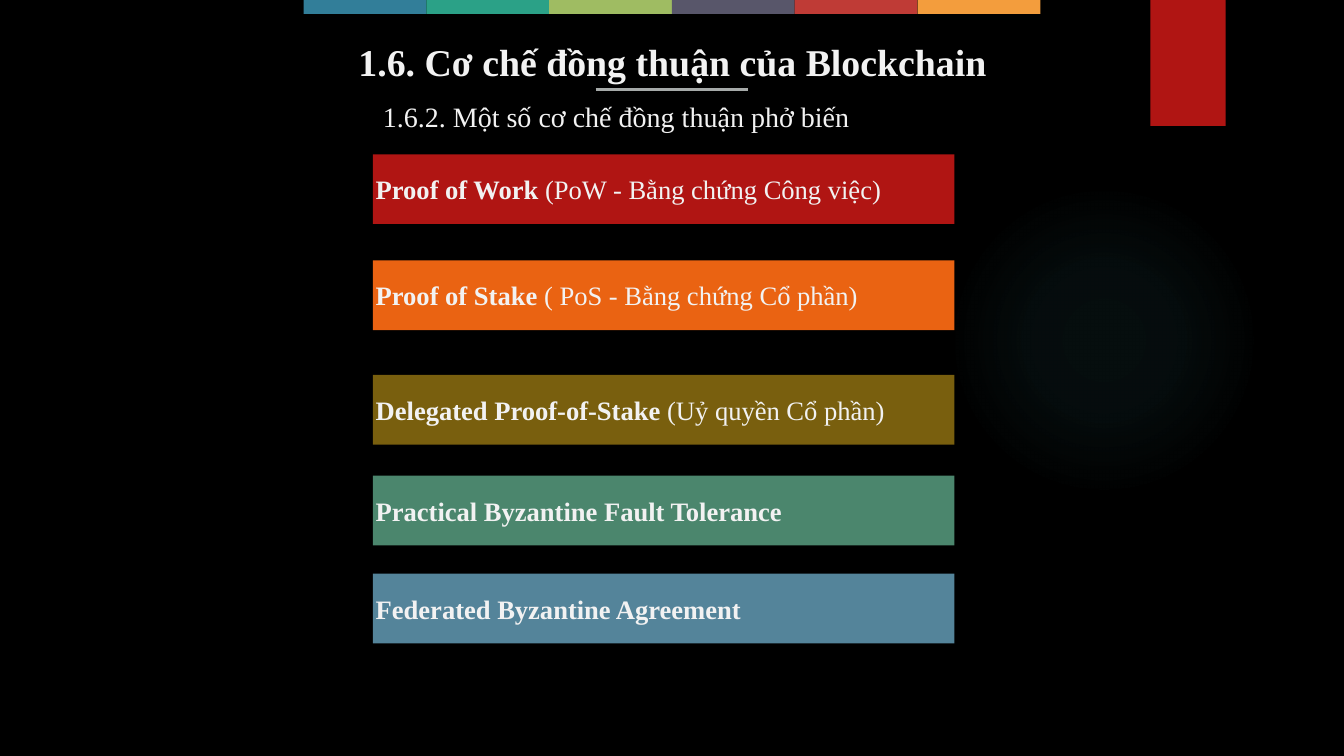
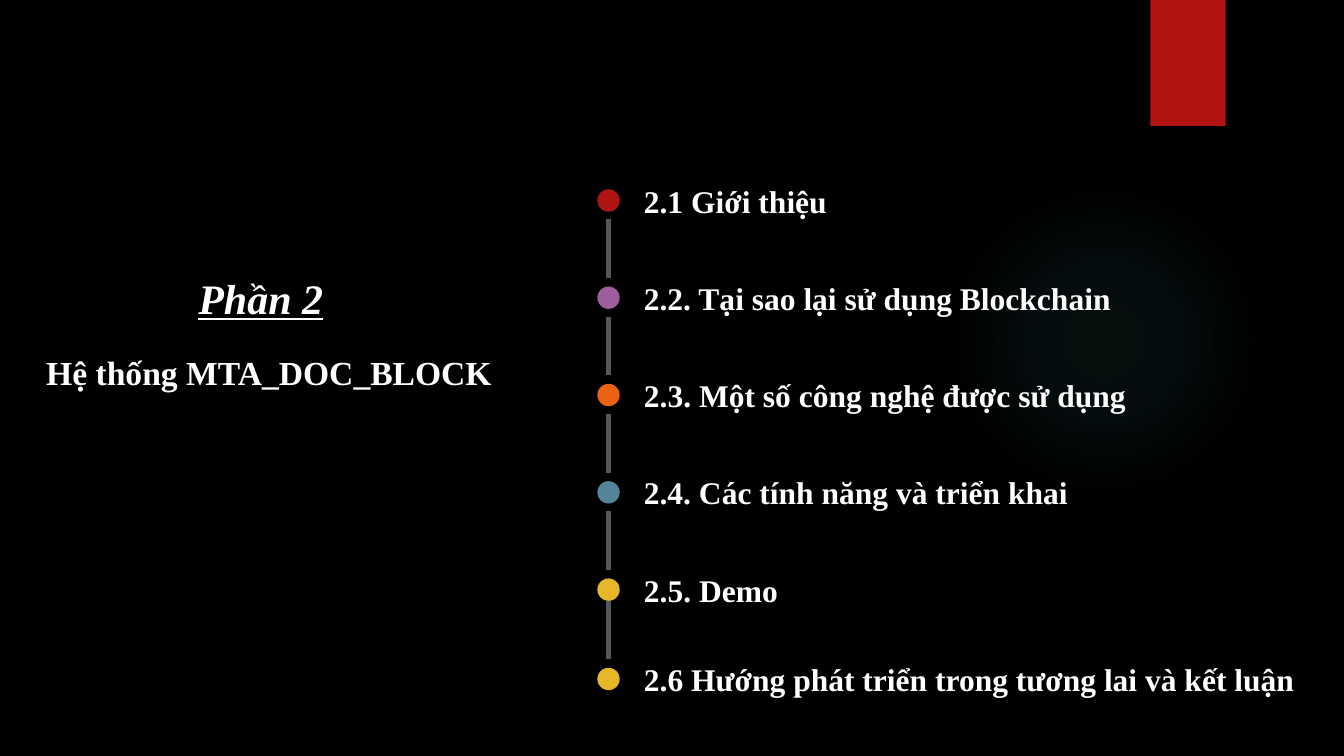
"""Build two dark slides: consensus mechanisms and the outline of part two."""
from pptx import Presentation, oxml
from pptx.dml.color import RGBColor
from pptx.enum import shapes, text
from pptx.oxml import ns
from pptx.util import Pt

FONT = "Times New Roman"
RED, ORANGE, BLUE, GOLD = "B01513", "EA6312", "54849A", "E6B729"
PALE, WHITE = "F2F2F2", "FFFFFF"
RECT, OVAL = shapes.MSO_SHAPE.RECTANGLE, shapes.MSO_SHAPE.OVAL
LEFT, CENTER = text.PP_ALIGN.LEFT, text.PP_ALIGN.CENTER
TOP, MIDDLE = text.MSO_ANCHOR.TOP, text.MSO_ANCHOR.MIDDLE


def paint(target, color):
    """Give a fill or line one solid colour."""
    target.solid()
    target.fore_color.rgb = RGBColor.from_string(color)


def write(box, words, size, color, bold=True, extra="", pad=None,
          anchor=TOP, align=LEFT, wrap=True):
    """Fill a box with a main run and an optional plain one."""
    frame = box.text_frame
    frame.text = words
    frame.word_wrap = wrap
    frame.auto_size = text.MSO_AUTO_SIZE.NONE
    frame.vertical_anchor = anchor
    if pad is not None:
        frame.margin_left = frame.margin_right = Pt(pad)
        frame.margin_top = frame.margin_bottom = Pt(pad)
    par = frame.paragraphs[0]
    par.alignment = align
    if extra:
        par.add_run().text = extra
    for run in par.runs:
        run.font.name = FONT
        run.font.size = Pt(size)
        run.font.bold = bold and run.text != extra
        paint(run.font.fill, color)


deck = Presentation()
deck.slide_width, deck.slide_height = Pt(960), Pt(540)
paint(deck.slide_master.background.fill, "000000")
first, second = [deck.slides.add_slide(deck.slide_layouts[5]) for _ in range(2)]

stops = "".join(
    f'<a:gs pos="{pos}000"><a:srgbClr val="50B9C1">'
    f'<a:alpha val="{alpha}000"/></a:srgbClr></a:gs>'
    for pos, alpha in ((0, 7), (36, 6), (69, 0)))
glow = (f'<a:gradFill {ns.nsdecls("a")}><a:gsLst>{stops}</a:gsLst>'
        '<a:path path="circle"><a:fillToRect l="50000" t="50000" '
        'r="50000" b="50000"/></a:path></a:gradFill>')

blocks = [(page, OVAL, 677.5, 131.8, 221.8, 221.8, None) for page in (first, second)]
blocks += [(page, RECT, 821.8, 0, 53.8, 90, RED) for page in (first, second)]
tabs = ["327E99", "2BA187", "9FBC62", "58566A", "BF3B36", "F39D3D"]
blocks += [(first, RECT, 216.9 + 87.7 * i, 0, 87.7, 10, color)
           for i, color in enumerate(tabs)]

bars = [
    (110.2, RED, "Proof of Work", " (PoW - Bằng chứng Công việc)"),
    (186, ORANGE, "Proof of Stake", " ( PoS - Bằng chứng Cổ phần)"),
    (267.8, "795F0E", "Delegated Proof-of-Stake", " (Uỷ quyền Cổ phần)"),
    (339.7, "4B866D", "Practical Byzantine Fault Tolerance", ""),
    (409.7, BLUE, "Federated Byzantine Agreement", ""),
]
blocks += [(first, RECT, 266.4, top, 415.4, 49.8, color) for top, color, *_ in bars]

topics = [
    (143.2, RED, 136, "2.1 Giới thiệu"),
    (212.7, "9E5E9B", 341, "2.2. Tại sao lại sử dụng Blockchain"),
    (282.2, ORANGE, 351, "2.3. Một số công nghệ được sử dụng"),
    (351.7, BLUE, 310, "2.4. Các tính năng và triển khai"),
    (421.2, GOLD, 101, "2.5. Demo"),
    (485, GOLD, 472, "2.6 Hướng phát triển trong tương lai và kết luận"),
]
blocks += [(second, OVAL, 426.7, mid - 8, 16, 16, color) for mid, color, *_ in topics]

drawn = []
for page, kind, left, top, width, height, color in blocks:
    shape = page.shapes.add_shape(kind, Pt(left), Pt(top), Pt(width), Pt(height))
    shape.shadow.inherit = False
    shape.line.fill.background()
    if color:
        paint(shape.fill, color)
    else:
        shape.fill.background()
        props = shape.element.spPr
        props.replace(props.find(ns.qn("a:noFill")), oxml.parse_xml(glow))
    drawn.append(shape)

start = 4 + len(tabs)
for shape, (_, _, name, note) in zip(drawn[start:], bars):
    write(shape, name, 19, PALE, extra=note, pad=2, anchor=MIDDLE)

rules = [(first, 425.5, 64, 534.5, 64, "A6AAA9", 2)]
rules += [(second, 434.7, mid - 56, 434.7, mid - 14, "53585F", 3)
          for mid, *_ in topics[1:]]
for page, x, y, right, base, color, width in rules:
    rule = page.shapes.add_connector(
        shapes.MSO_CONNECTOR.STRAIGHT, Pt(x), Pt(y), Pt(right), Pt(base))
    paint(rule.line.fill, color)
    rule.line.width = Pt(width)
    rule.element.spPr.append(oxml.parse_xml(f'<a:effectLst {ns.nsdecls("a")}/>'))

heads = [(first, 218.2, 23.8, 524.2, 33.1), (second, 139.7, 192.2, 94.3, 40.3)]
for page, left, top, width, height in heads:
    head = page.shapes.title
    head.left, head.top, head.width, head.height = map(Pt, (left, top, width, height))
write(first.shapes.title, "1.6. Cơ chế đồng thuận của Blockchain", 27, PALE,
      align=CENTER)
write(second.shapes.title, "Phần 2", 30, WHITE, pad=2, anchor=MIDDLE, wrap=False)
font = second.shapes.title.text_frame.paragraphs[0].runs[0].font
font.italic = font.underline = True

box = first.shapes.add_textbox(Pt(266.4), Pt(67.7), Pt(427.7), Pt(31))
write(box, "1.6.2. Một số cơ chế đồng thuận phở biến", 20, PALE, bold=False)
box = second.shapes.add_textbox(Pt(25.9), Pt(247.7), Pt(356.4), Pt(36))
write(box, "Hệ thống MTA_DOC_BLOCK", 24, WHITE)
for mid, _, width, words in topics:
    box = second.shapes.add_textbox(Pt(457.9), Pt(mid - 15.5), Pt(width), Pt(31))
    write(box, words, 22.5, WHITE, pad=2, anchor=MIDDLE, wrap=False)

deck.save("out.pptx")
